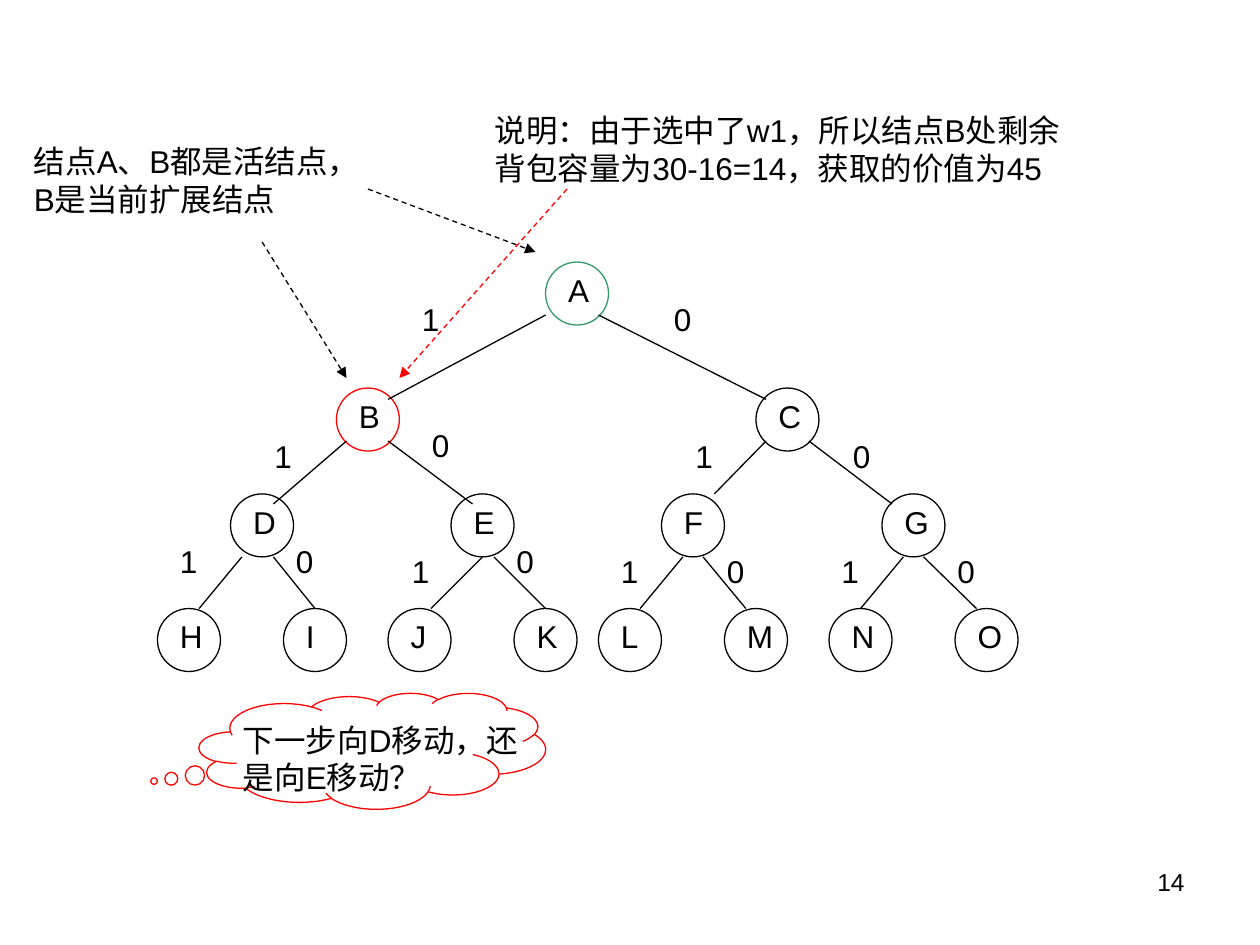
from lxml import etree
from pptx import Presentation
from pptx.dml.color import RGBColor
from pptx.enum.dml import MSO_LINE
from pptx.enum.shapes import MSO_CONNECTOR, MSO_SHAPE
from pptx.enum.text import PP_ALIGN
from pptx.oxml.ns import qn
from pptx.util import Inches, Pt

ELLIPSE = MSO_SHAPE.OVAL
CLOUD = MSO_SHAPE.CLOUD_CALLOUT
STRAIGHT = MSO_CONNECTOR.STRAIGHT
DASH = MSO_LINE.DASH
LEFT, RIGHT = PP_ALIGN.LEFT, PP_ALIGN.RIGHT

COLORS = {"ink": "000000", "root": "339966", "current": "FF0000"}
FONT = "Arial"
NODE_SIZE = 0.5
LABEL_SIZE = (0.42, 0.4)
LABEL_OFFSET = (0.08, 0.02)

LEVELS = [
    (2.08, [("A", 4.33)]),
    (3.08, [("B", 2.67), ("C", 6)]),
    (3.92, [("D", 1.83), ("E", 3.58), ("F", 5.25), ("G", 7)]),
    (4.83, [("H", 1.25), ("I", 2.25), ("J", 3.08), ("K", 4.08),
            ("L", 4.75), ("M", 5.75), ("N", 6.58), ("O", 7.58)]),
]
NODE_COLORS = {"A": "root", "B": "current"}

BRANCHES = [
    ("1", (4.33, 2.5), (3.08, 3.17), (3.25, 2.33)),
    ("0", (4.75, 2.5), (6.08, 3.17), (5.25, 2.33)),
    ("1", (2.75, 3.5), (2.17, 4), (2.08, 3.42)),
    ("0", (3.08, 3.5), (3.75, 4), (3.33, 3.33)),
    ("1", (6.08, 3.5), (5.67, 3.92), (5.42, 3.42)),
    ("0", (6.42, 3.5), (7.08, 4), (6.67, 3.42)),
    ("1", (1.92, 4.42), (1.58, 4.83), (1.33, 4.25)),
    ("0", (2.17, 4.42), (2.5, 4.83), (2.25, 4.25)),
    ("1", (3.83, 4.42), (3.42, 4.83), (3.17, 4.33)),
    ("0", (3.92, 4.42), (4.33, 4.83), (4, 4.25)),
    ("1", (5.42, 4.42), (5.08, 4.83), (4.83, 4.33)),
    ("0", (5.58, 4.42), (5.92, 4.83), (5.67, 4.33)),
    ("1", (7.17, 4.42), (6.83, 4.83), (6.58, 4.33)),
    ("0", (7.33, 4.42), (7.75, 4.83), (7.5, 4.33)),
]

POINTERS = [
    ((2.08, 1.92), (2.75, 3), "ink"),
    ((2.92, 1.5), (4.25, 2), "ink"),
    ((4.5, 1.5), (3.17, 3), "current"),
]
NOTES = [
    ("结点A、B都是活结点，B是当前扩展结点", (0.17, 1.08), (2.67, 1)),
    ("说明：由于选中了w1，所以结点B处剩余背包容量为30-16=14，获取的价值为45",
     (3.83, 0.83), (4.83, 1)),
]
QUESTION = ("下一步向D移动，还是向E移动？", (1.83, 5.67), (2.5, 0.7))
CLOUD_BOX = ((1.58, 5.5), (2.75, 0.92))
CLOUD_TAIL = (-0.63, 0.26)
PAGE_NUMBER = ("14", (7.17, 6.83), (2.33, 0.52))


def box(position, size):
    return [Inches(value) for value in (*position, *size)]


def style_line(line, color):
    line.color.rgb = RGBColor.from_string(COLORS[color])
    line.width = Pt(0.75)


def add_text(slide, text, position, size, points=18, align=LEFT):
    frame = slide.shapes.add_textbox(*box(position, size)).text_frame
    frame.word_wrap = True
    frame.text = text
    paragraph = frame.paragraphs[0]
    paragraph.alignment = align
    font = paragraph.runs[0].font
    font.name = FONT
    font.size = Pt(points)
    font.color.rgb = RGBColor.from_string(COLORS["ink"])


def add_outline(slide, preset, position, size, color):
    outline = slide.shapes.add_shape(preset, *box(position, size))
    outline.shadow.inherit = False
    outline.fill.background()
    style_line(outline.line, color)
    return outline


def add_line(slide, start, end, color="ink"):
    connector = slide.shapes.add_connector(STRAIGHT, *box(start, end))
    style_line(connector.line, color)
    etree.SubElement(connector._element.spPr, qn("a:effectLst"))
    return connector.line


def add_pointer(slide, start, end, color):
    line = add_line(slide, start, end, color)
    line.dash_style = DASH
    etree.SubElement(line._get_or_add_ln(), qn("a:tailEnd"), type="triangle")


def add_node(slide, name, left, top):
    add_outline(slide, ELLIPSE, (left, top), (NODE_SIZE, NODE_SIZE),
                NODE_COLORS.get(name, "ink"))
    dx, dy = LABEL_OFFSET
    add_text(slide, name, (left + dx, top + dy), LABEL_SIZE)


def main():
    presentation = Presentation()
    presentation.slide_width = Inches(10)
    presentation.slide_height = Inches(7.5)
    slide = presentation.slides.add_slide(presentation.slide_layouts[6])

    add_text(slide, *PAGE_NUMBER, points=14, align=RIGHT)
    for top, nodes in LEVELS:
        for name, left in nodes:
            add_node(slide, name, left, top)
    for bit, start, end, label_position in BRANCHES:
        add_line(slide, start, end)
        add_text(slide, bit, label_position, LABEL_SIZE)
    for note in NOTES:
        add_text(slide, *note)
    for pointer in POINTERS:
        add_pointer(slide, *pointer)

    cloud = add_outline(slide, CLOUD, *CLOUD_BOX, "current")
    for index, value in enumerate(CLOUD_TAIL):
        cloud.adjustments[index] = value
    add_text(slide, *QUESTION)

    presentation.save("out.pptx")


if __name__ == "__main__":
    main()
